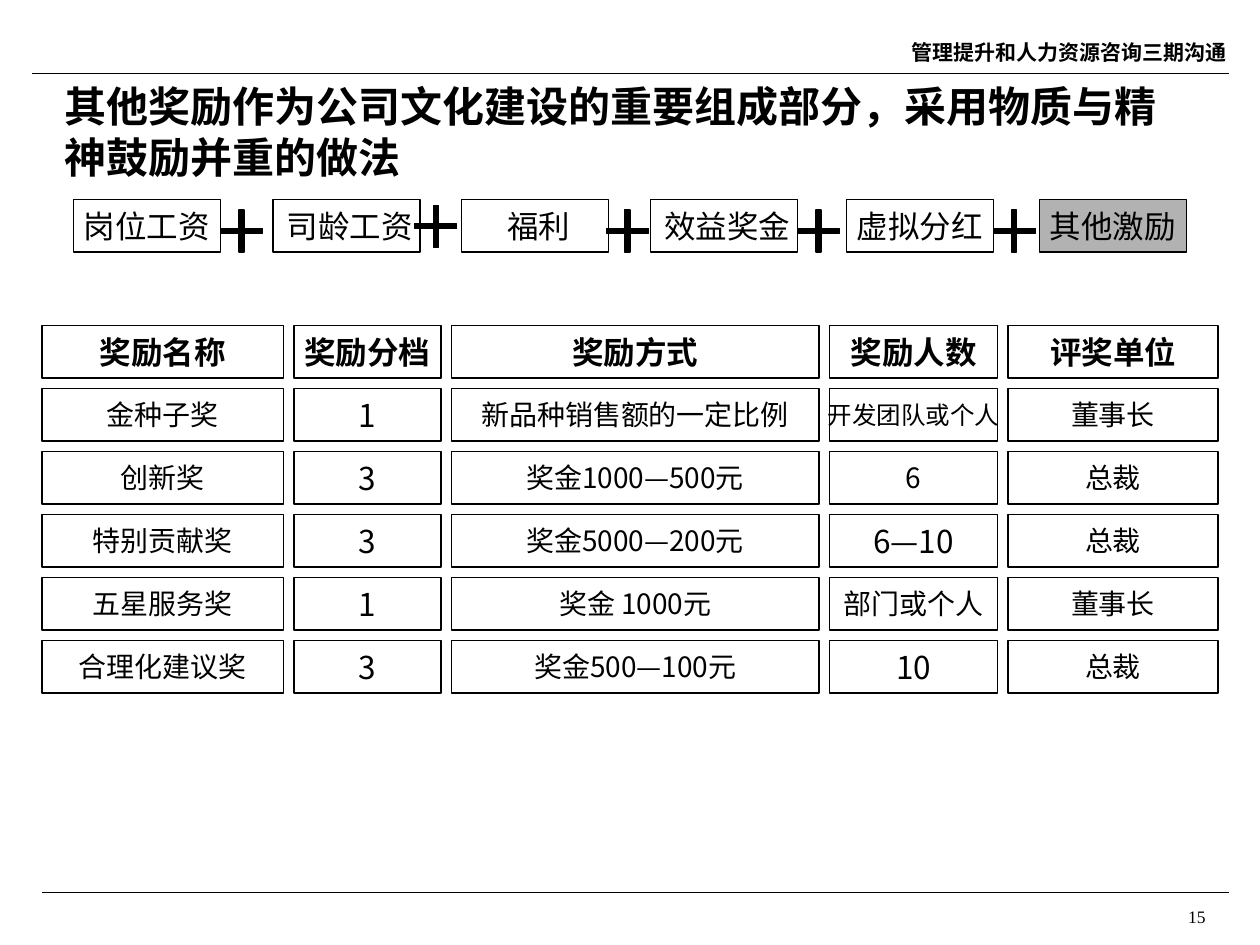
from collections import namedtuple

from lxml.etree import SubElement
from pptx import Presentation
from pptx.dml.color import RGBColor
from pptx.enum.shapes import MSO_CONNECTOR, MSO_SHAPE
from pptx.enum.text import MSO_ANCHOR, PP_ALIGN
from pptx.oxml.ns import qn
from pptx.util import Inches, Pt

BLACK = RGBColor(0x00, 0x00, 0x00)
WHITE = RGBColor(0xFF, 0xFF, 0xFF)
GREY = RGBColor(0xB2, 0xB2, 0xB2)
SANS = "Noto Sans CJK SC"
SERIF = "Times New Roman"

CELLS_PER_INCH = 12
ROW_HEIGHT = 5
GAP = 1
PAY_WIDTH = 14
PLUS_SIZE = 4

Box = namedtuple("Box", "left top width height")

PAY_PARTS = [
    ("岗位工资", 0),
    (" 司龄工资", 19),
    (" 福利", 36.95),
    (" 效益奖金", 54.95),
    ("虚拟分红", 73.6),
    ("其他激励", 92),
]
PLUS_SHIFTS = [0, -0.5, -0.2, 0, 0]

AWARD_WIDTHS = [23, 14, 35, 16, 20]
AWARD_HEADINGS = ["奖励名称", "奖励分档", "奖励方式", "奖励人数", "评奖单位"]
AWARDS = [
    ["金种子奖", "1", "新品种销售额的一定比例", "开发团队或个人", "董事长"],
    ["创新奖", "3", "奖金1000—500元", "6", "总裁"],
    ["特别贡献奖", "3", "奖金5000—200元", "6—10", "总裁"],
    ["五星服务奖", "1", "奖金 1000元", "部门或个人", "董事长"],
    ["合理化建议奖", "3", "奖金500—100元", "10", "总裁"],
]
SPECIAL_SIZES = {"开发团队或个人": 14, "1": 18, "3": 18, "6—10": 18, "10": 18}


def to_lengths(box):
    return [Inches(value / CELLS_PER_INCH) for value in box]


def write_text(holder, text, size, align, bold=False, wrap=False,
               anchor=MSO_ANCHOR.MIDDLE, typeface=SANS):
    frame = holder.text_frame
    frame.text = text
    frame.word_wrap = wrap
    frame.vertical_anchor = anchor
    paragraph = frame.paragraphs[0]
    paragraph.alignment = align
    for run in paragraph.runs:
        run.font.size = Pt(size)
        run.font.bold = bold
        run.font.name = typeface
        run.font.color.rgb = BLACK
        east_asian = SubElement(run.font._element, qn("a:ea"))
        east_asian.set("typeface", typeface)


def add_label(slide, box, text, size, align, **options):
    label = slide.shapes.add_textbox(*to_lengths(box))
    write_text(label, text, size, align, **options)


def add_outlined(slide, box, preset, fill=None):
    outlined = slide.shapes.add_shape(preset, *to_lengths(box))
    outlined.shadow.inherit = False
    if fill is None:
        outlined.fill.background()
    else:
        outlined.fill.solid()
        outlined.fill.fore_color.rgb = fill
    outlined.line.color.rgb = BLACK
    outlined.line.width = Pt(0.75)
    return outlined


def add_cell(slide, box, text, size, bold=False, fill=None):
    cell = add_outlined(slide, box, MSO_SHAPE.RECTANGLE, fill)
    write_text(cell, text, size, PP_ALIGN.CENTER, bold=bold)


def add_rule(slide, left, right, row):
    ends = to_lengths((left, row, right, row))
    rule = slide.shapes.add_connector(MSO_CONNECTOR.STRAIGHT, *ends)
    rule.line.color.rgb = BLACK
    rule.line.width = Pt(0.75)
    SubElement(rule._element.spPr, qn("a:effectLst"))


def build_header(slide, box):
    right = box.left + box.width
    add_rule(slide, box.left, right - GAP, box.top + 5)
    caption = Box(right - 37, box.top, 37, box.height)
    add_label(slide, caption, "管理提升和人力资源咨询三期沟通", 12,
              PP_ALIGN.RIGHT, bold=True)


def build_title(slide, box):
    add_label(slide, box, "其他奖励作为公司文化建设的重要组成部分，采用物质与精神鼓励并重的做法",
              24, PP_ALIGN.LEFT, bold=True, wrap=True)


def build_pay_parts(slide, box):
    for text, offset in PAY_PARTS:
        part = Box(box.left + offset, box.top, PAY_WIDTH, box.height)
        fill = GREY if text == PAY_PARTS[-1][0] else None
        add_cell(slide, part, text, 18, fill=fill)
    for (_, offset), shift in zip(PAY_PARTS, PLUS_SHIFTS):
        top = box.top + GAP + min(shift + 0.2, 0) * 1.5
        plus = Box(box.left + offset + PAY_WIDTH + shift, top, PLUS_SIZE, PLUS_SIZE)
        sign = add_outlined(slide, plus, MSO_SHAPE.CROSS, BLACK)
        sign.adjustments[0] = 0.44


def build_awards(slide, box):
    step = (box.height + GAP) / (len(AWARDS) + 1)
    for row, texts in enumerate([AWARD_HEADINGS] + AWARDS):
        left = box.left
        for text, width in zip(texts, AWARD_WIDTHS):
            cell = Box(left, box.top + row * step, width, ROW_HEIGHT)
            size = 18 if row == 0 else SPECIAL_SIZES.get(text, 16)
            add_cell(slide, cell, text, size, bold=row == 0)
            left += width + GAP


def build_footer(slide, box):
    right = box.left + box.width
    add_rule(slide, box.left, right, box.top)
    number = Box(right - 32, box.top + 0.7, 31, box.height - 0.7)
    add_label(slide, number, "15", 10, PP_ALIGN.RIGHT, wrap=True,
              anchor=MSO_ANCHOR.TOP, typeface=SERIF)


def main():
    deck = Presentation()
    deck.slide_width = Inches(10)
    deck.slide_height = Inches(7.5)
    slide = deck.slides.add_slide(deck.slide_layouts[6])
    slide.background.fill.solid()
    slide.background.fill.fore_color.rgb = WHITE
    build_header(slide, Box(3, 2, 115, 6))
    build_title(slide, Box(5, 5, 108, 15))
    build_awards(slide, Box(4, 31, 112, 35))
    build_pay_parts(slide, Box(7, 19, 106, ROW_HEIGHT))
    build_footer(slide, Box(4, 85, 113, 3))
    deck.save("out.pptx")


if __name__ == "__main__":
    main()
